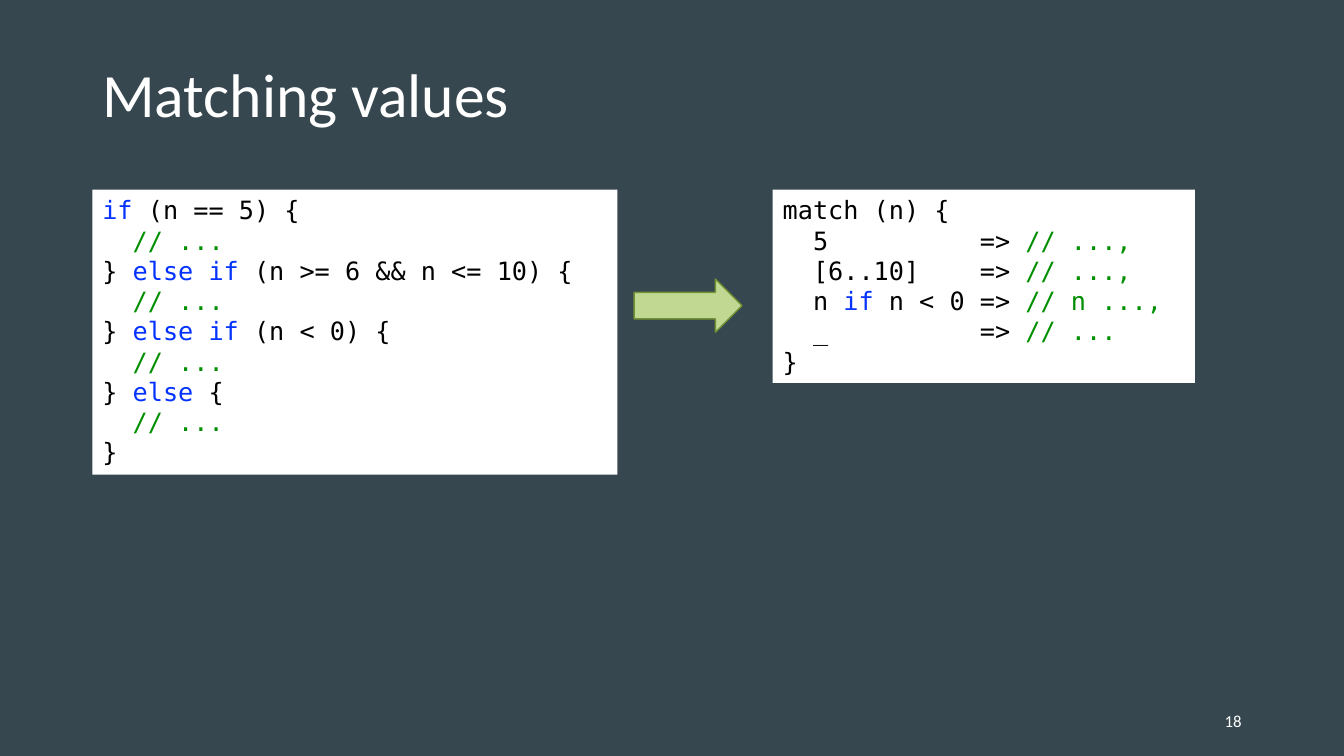
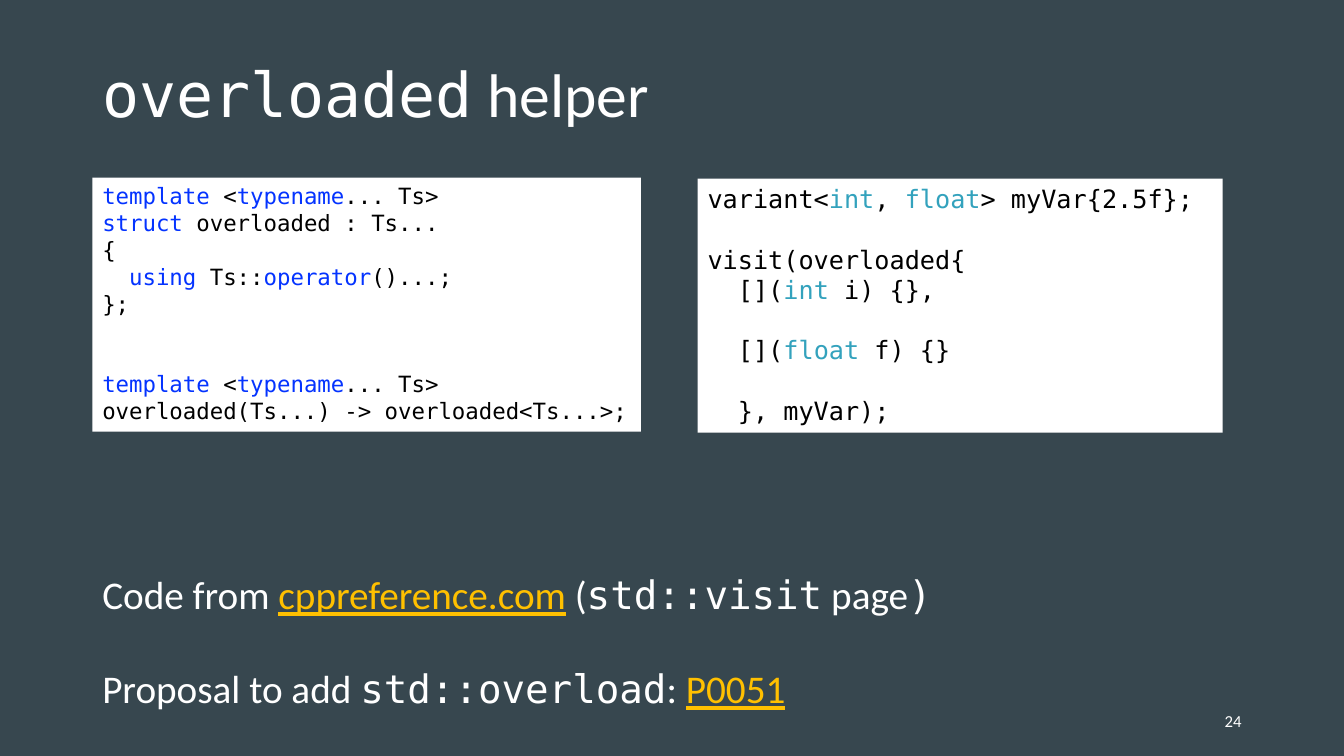
from lxml.etree import SubElement
from pptx import Presentation
from pptx.dml.color import RGBColor
from pptx.enum.shapes import MSO_SHAPE
from pptx.enum.text import MSO_ANCHOR, PP_ALIGN
from pptx.oxml.ns import qn
from pptx.util import Pt

SLATE, WHITE, BLACK = "37474F", "FFFFFF", "000000"
LEAF, MOSS = "C1D892", "729134"
SANS, MONO = "Calibri", "DejaVu Sans Mono"
STYLES = {
    "text": (SANS, WHITE),
    "mono": (MONO, WHITE),
    "link": (SANS, "FFC000"),
    "code": (MONO, BLACK),
    "key": (MONO, "0433FF"),
    "note": (MONO, "008F00"),
    "type": (MONO, "33A2BD"),
}
LEFT = 66
PITCH = 1.2


def hue(code):
    return RGBColor.from_string(code)


def row(*runs, gap=0):
    return runs, gap


def code(text, gap=0):
    return row(("code", text), gap=gap)


def add_tab(para, stop):
    tabs = SubElement(para._p.get_or_add_pPr(), qn("a:tabLst"))
    SubElement(tabs, qn("a:tab"), pos=str(Pt(stop)), algn="l")


def write(frame, rows, size, anchor=MSO_ANCHOR.TOP, align=PP_ALIGN.LEFT,
          pace=None, stop=None):
    frame.word_wrap = True
    frame.vertical_anchor = anchor
    for num, (runs, gap) in enumerate(rows):
        para = frame.add_paragraph() if num else frame.paragraphs[0]
        if stop:
            add_tab(para, stop)
        para.alignment = align
        if pace:
            para.line_spacing = pace
        if gap:
            para.space_before = Pt(round(gap * size * PITCH, 1))
        for style, text in runs:
            run = para.add_run()
            run.text = text
            font = run.font
            font.size = Pt(size)
            font.name, tint = STYLES[style]
            font.color.rgb = hue(tint)
            if style == "link":
                font.underline = True


def add_text(slide, box, rows, size, **opts):
    area = slide.shapes.add_textbox(*map(Pt, box))
    write(area.text_frame, rows, size, **opts)


def add_shape(slide, kind, box, fill, edge=None):
    shape = slide.shapes.add_shape(kind, *map(Pt, box))
    shape.shadow.inherit = False
    shape.fill.solid()
    shape.fill.fore_color.rgb = hue(fill)
    if edge:
        shape.line.color.rgb = hue(edge)
        shape.line.width = Pt(1)
    else:
        shape.line.fill.background()
    return shape


def add_code(slide, box, rows, size, stop=None):
    panel = add_shape(slide, MSO_SHAPE.RECTANGLE, box, WHITE)
    write(panel.text_frame, rows, size, stop=stop)


def add_slide(deck, title, number):
    slide = deck.slides.add_slide(deck.slide_layouts[6])
    add_text(slide, (LEFT, 28.8, 828, 81.4), [title], 44,
             anchor=MSO_ANCHOR.MIDDLE, pace=0.9)
    add_text(slide, (678, 500.5, 216, 28.8), [row(("text", number))], 12,
             anchor=MSO_ANCHOR.MIDDLE, align=PP_ALIGN.RIGHT)
    return slide


def add_match(deck):
    slide = add_slide(deck, row(("text", "Matching values")), "18")
    add_shape(slide, MSO_SHAPE.RIGHT_ARROW, (453, 199.3, 77, 38), LEAF, MOSS)
    body = row(("code", "  "), ("note", "// ..."))
    tests = [
        row(("key", "if"), ("code", " (n == 5) {")),
        row(("code", "} "), ("key", "else if"),
            ("code", " (n >= 6 && n <= 10) {")),
        row(("code", "} "), ("key", "else if"), ("code", " (n < 0) {")),
        row(("code", "} "), ("key", "else"), ("code", " {")),
    ]
    chain = [line for test in tests for line in (test, body)]
    add_code(slide, (LEFT, 135.5, 375, 203.5), chain + [code("}")], 18)
    cases = [
        code("match (n) {"),
        row(("code", "  5\t=> "), ("note", "// ...,")),
        row(("code", "  [6..10]\t=> "), ("note", "// ...,")),
        row(("code", "  n "), ("key", "if"), ("code", " n < 0 => "),
            ("note", "// n ...,")),
        row(("code", "  _\t=> "), ("note", "// ...")),
        code("}"),
    ]
    add_code(slide, (552, 135.5, 301.5, 138), cases, 18, stop=140.9)


def add_helper(deck):
    title = row(("mono", "overloaded"), ("text", " helper"))
    slide = add_slide(deck, title, "24")
    links = [
        row(("text", "Code from "), ("link", "cppreference.com"),
            ("text", " ("), ("mono", "std::visit"), ("text", " page"),
            ("mono", ")")),
        row(("text", "Proposal to add "), ("mono", "std::overload"),
            ("text", ": "), ("link", "P0051"), gap=1),
    ]
    add_text(slide, (LEFT, 404, 613, 108.5), links, 28)
    head = (("key", "template"), ("code", " <"), ("key", "typename"),
            ("code", "... Ts>"))
    struct = [
        row(*head),
        row(("key", "struct"), ("code", " overloaded : Ts...")),
        code("{"),
        row(("code", "  "), ("key", "using "), ("code", "Ts::"),
            ("key", "operator"), ("code", "()...;")),
        code("};"),
        row(*head, gap=2),
        code("overloaded(Ts...) -> overloaded<Ts...>;"),
    ]
    add_code(slide, (LEFT, 126.8, 391.8, 181.5), struct, 16)
    visit = [
        row(("code", "variant<"), ("type", "int"), ("code", ", "),
            ("type", "float"), ("code", "> myVar{2.5f};")),
        code("visit(overloaded{", gap=1),
        row(("code", "  []("), ("type", "int "), ("code", "i) {},")),
        row(("code", "  []("), ("type", "float "), ("code", "f) {}"), gap=1),
        code("  }, myVar);", gap=1),
    ]
    add_code(slide, (498.3, 127.5, 375, 181.5), visit, 18)


def main():
    deck = Presentation()
    deck.slide_width, deck.slide_height = Pt(960), Pt(540)
    fill = deck.slide_master.background.fill
    fill.solid()
    fill.fore_color.rgb = hue(SLATE)
    add_match(deck)
    add_helper(deck)
    deck.save("out.pptx")


if __name__ == "__main__":
    main()
